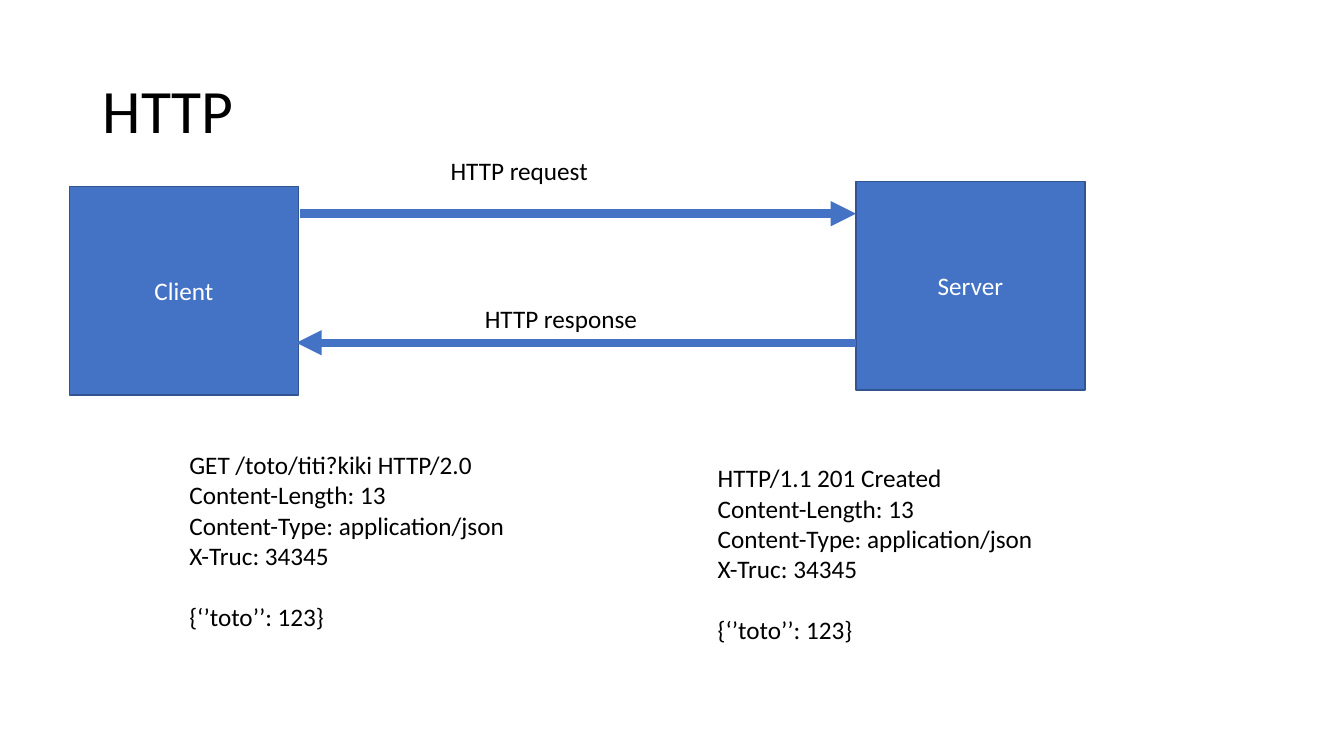
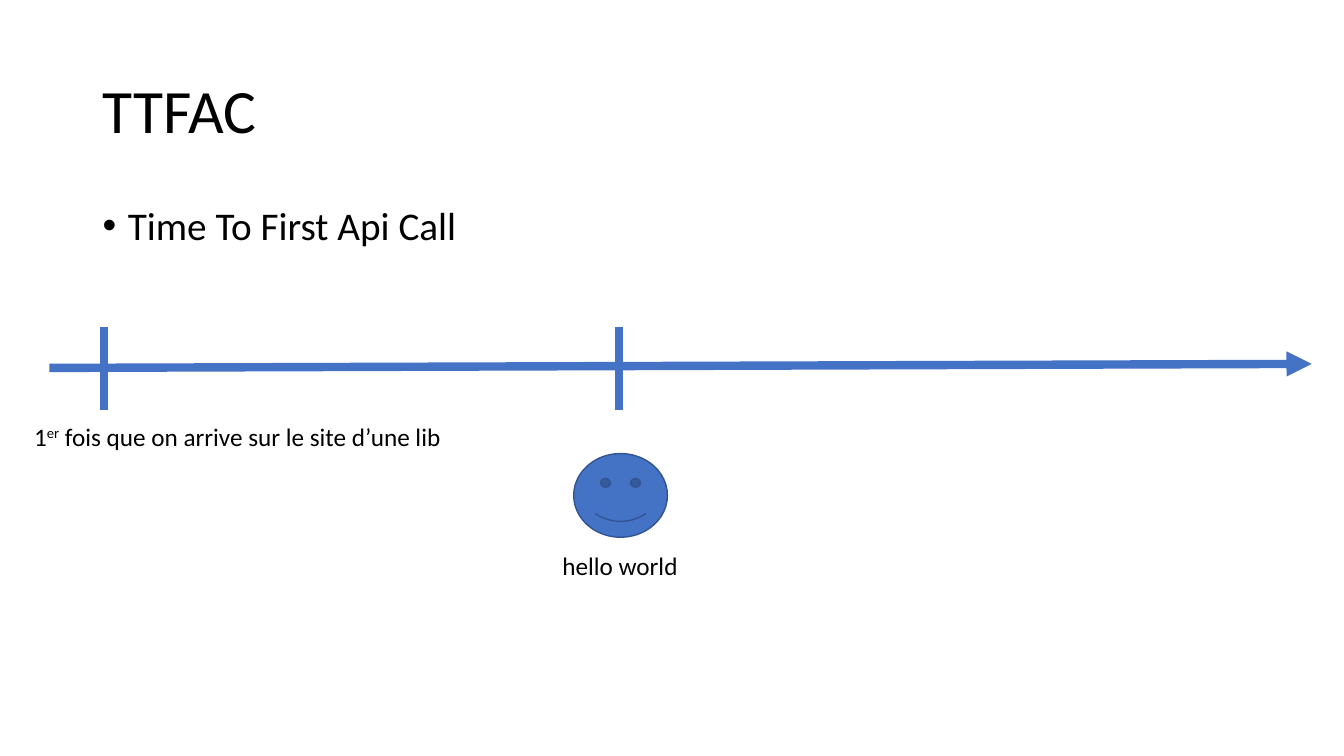
from pptx import Presentation
from pptx.dml.color import RGBColor
from pptx.enum.shapes import MSO_CONNECTOR, MSO_SHAPE
from pptx.enum.text import MSO_ANCHOR, PP_ALIGN
from pptx.oxml.ns import qn
from pptx.util import Inches, Pt
from lxml import etree

# Shared style
FONT = "Calibri"
BLUE, DARK_BLUE = "4472C4", "325491"
BLACK, WHITE = "000000", "FFFFFF"
TITLE_SIZE, BULLET_SIZE, TEXT_SIZE = 44, 28, 18
BLANK_LINE = 22
MARGIN, CONTENT_WIDTH = 0.92, 11.5
RECTANGLE, SMILEY = MSO_SHAPE.RECTANGLE, MSO_SHAPE.SMILEY_FACE
STRAIGHT = MSO_CONNECTOR.STRAIGHT
MIDDLE, TOP, CENTER = MSO_ANCHOR.MIDDLE, MSO_ANCHOR.TOP, PP_ALIGN.CENTER


def rgb(value):
    return RGBColor.from_string(value)


def add_run(paragraph, text, size=TEXT_SIZE, color=BLACK, superscript=False):
    run = paragraph.add_run()
    run.text = text
    run.font.name = FONT
    run.font.size = Pt(size)
    run.font.color.rgb = rgb(color)
    if superscript:
        run.font._element.set("baseline", "30000")


def add_text_frame(slide, left, top, width, height, wrap=False, anchor=TOP):
    box = slide.shapes.add_textbox(Inches(left), Inches(top), Inches(width), Inches(height))
    frame = box.text_frame
    frame.word_wrap = wrap
    frame.vertical_anchor = anchor
    return frame


def add_label(slide, text, left, top, width):
    frame = add_text_frame(slide, left, top, width, 0.4)
    add_run(frame.paragraphs[0], text)


def add_blue_shape(slide, kind, left, top, width, height):
    shape = slide.shapes.add_shape(kind, Inches(left), Inches(top), Inches(width), Inches(height))
    shape.shadow.inherit = False
    shape.fill.solid()
    shape.fill.fore_color.rgb = rgb(BLUE)
    shape.line.color.rgb = rgb(DARK_BLUE)
    shape.line.width = Pt(1)
    return shape


def add_line(slide, start, end, arrow=False):
    line = slide.shapes.add_connector(STRAIGHT, *(Inches(v) for v in (*start, *end)))
    line.line.color.rgb = rgb(BLUE)
    line.line.width = Pt(6)
    if arrow:
        etree.SubElement(line.line._get_or_add_ln(), qn("a:tailEnd"), type="triangle")
    etree.SubElement(line._element.spPr, qn("a:effectLst"))


def add_titled_slide(prs, title):
    slide = prs.slides.add_slide(prs.slide_layouts[6])
    frame = add_text_frame(slide, MARGIN, 0.4, CONTENT_WIDTH, 1.45, True, MIDDLE)
    frame.paragraphs[0].line_spacing = 0.9
    add_run(frame.paragraphs[0], title, TITLE_SIZE)
    return slide


def add_bullet(slide, text, left, top, width):
    paragraph = add_text_frame(slide, left, top, width, 0.55, True).paragraphs[0]
    paragraph.line_spacing = 0.9
    paragraph.space_before = Pt(10)
    properties = paragraph._p.get_or_add_pPr()
    properties.set("marL", str(Inches(0.25)))
    properties.set("indent", str(Inches(-0.25)))
    etree.SubElement(properties, qn("a:buFont"), typeface="Arial")
    etree.SubElement(properties, qn("a:buChar"), char="•")
    add_run(paragraph, text, BULLET_SIZE)


def add_peer(slide, name, left, top):
    peer = add_blue_shape(slide, RECTANGLE, left, top, 2.27, 2.07)
    peer.text_frame.vertical_anchor = MIDDLE
    paragraph = peer.text_frame.paragraphs[0]
    paragraph.alignment = CENTER
    add_run(paragraph, name, color=WHITE)


def add_exchange(slide, left, top):
    """Client and server with a request and a response between them."""
    client_edge, server_edge = left + 2.27, left + 7.8
    add_peer(slide, "Client", left, top + 0.05)
    add_peer(slide, "Server", server_edge, top)
    request_y, response_y = top + 0.32, top + 1.6
    add_line(slide, (client_edge + 0.02, request_y), (server_edge, request_y), True)
    add_label(slide, "HTTP request", left + 3.68, top - 0.31, 1.58)
    add_line(slide, (server_edge, response_y), (client_edge - 0.02, response_y), True)
    add_label(slide, "HTTP response", left + 4.02, top + 1.16, 1.73)


def add_message(slide, start_line, left, top):
    """Start line, headers and, after a gap, the body."""
    headers = ["Content-Length: 13", "Content-Type: application/json", "X-Truc: 34345"]
    frame = add_text_frame(slide, left, top, 3.37, 1.92)
    add_run(frame.paragraphs[0], start_line)
    for header in headers:
        add_run(frame.add_paragraph(), header)
    body = frame.add_paragraph()
    body.space_before = Pt(BLANK_LINE)
    add_run(body, "{‘’toto’’: 123}")


def add_timeline(slide, left, top):
    """Arrow of time with the first visit and the first call."""
    first_visit, first_call = left + 0.54, left + 5.65
    add_line(slide, (left, top + 0.41), (left + 12.52, top + 0.37), True)
    for moment in (first_visit, first_call):
        add_line(slide, (moment, top), (moment, top + 0.83))
    add_blue_shape(slide, SMILEY, first_call - 0.45, top + 1.26, 0.93, 0.83)
    add_label(slide, "hello world", first_call - 0.66, top + 2.17, 1.36)
    visit = add_text_frame(slide, left - 0.25, top + 0.89, 4.3, 0.4).paragraphs[0]
    add_run(visit, "1")
    add_run(visit, "er", superscript=True)
    add_run(visit, " fois que on arrive sur le site d’une lib")


def main():
    prs = Presentation()
    prs.slide_width, prs.slide_height = Inches(13.33), Inches(7.5)

    # HTTP exchange
    http = add_titled_slide(prs, "HTTP")
    add_exchange(http, 0.69, 1.8)
    add_message(http, "GET /toto/titi?kiki HTTP/2.0", 1.78, 4.41)
    add_message(http, "HTTP/1.1 201 Created", 7.02, 4.54)

    # Time to first call
    ttfac = add_titled_slide(prs, "TTFAC")
    add_bullet(ttfac, "Time To First Api Call", MARGIN, 2, CONTENT_WIDTH)
    add_timeline(ttfac, 0.49, 3.24)

    prs.save("out.pptx")


if __name__ == "__main__":
    main()
